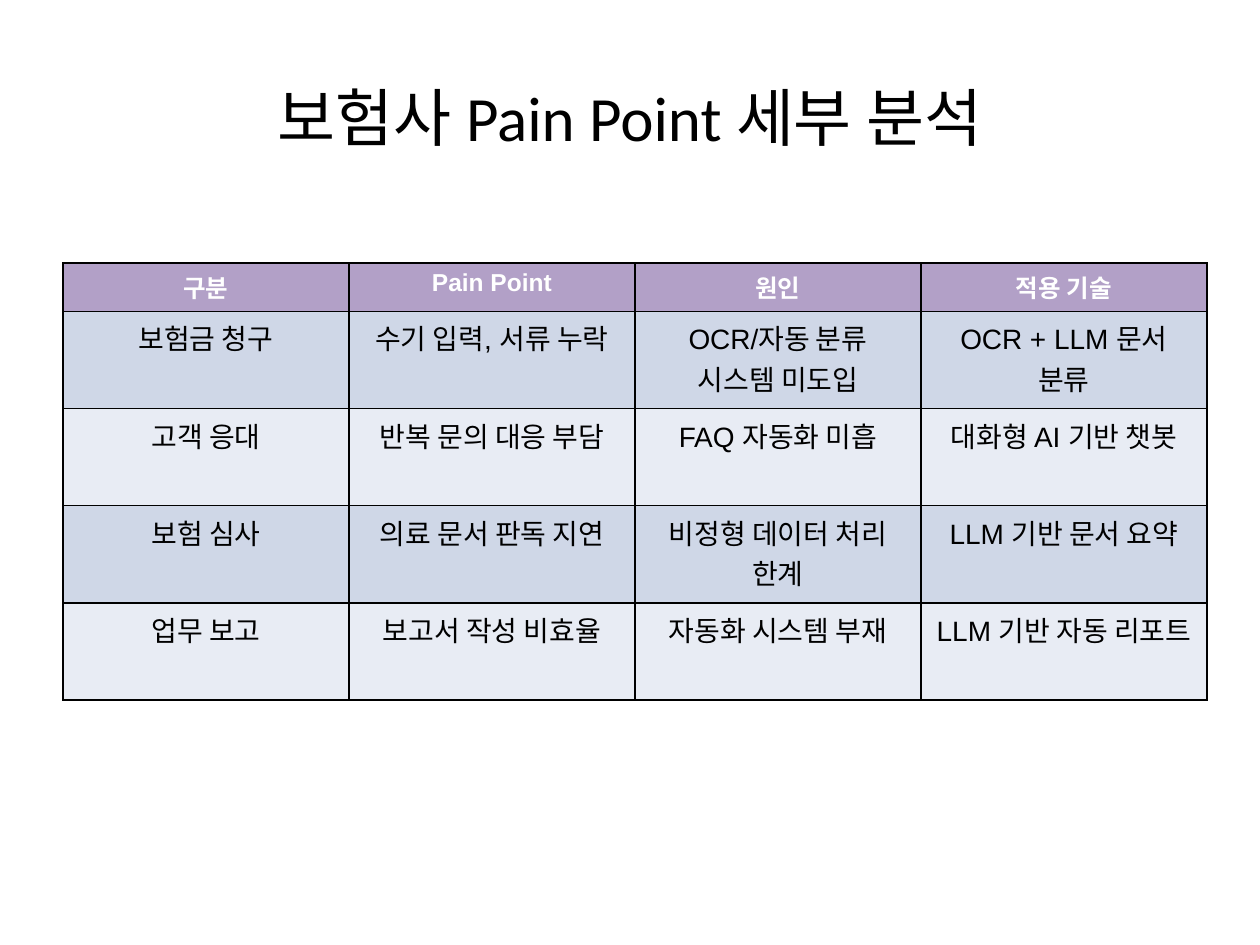
from lxml import etree
from pptx import Presentation
from pptx import util as u
from pptx.dml.color import RGBColor
from pptx.enum import text
from pptx.oxml import ns

BLACK = RGBColor(0x00, 0x00, 0x00)
WHITE = RGBColor(0xFF, 0xFF, 0xFF)
PURPLE = RGBColor(0xB2, 0xA0, 0xC7)
BLUE = RGBColor(0xCF, 0xD7, 0xE7)
PALE = RGBColor(0xE8, 0xEC, 0xF4)

ROWS = [
    ["구분", "Pain Point", "원인", "적용 기술"],
    ["보험금 청구", "수기 입력, 서류 누락", "OCR/자동 분류 시스템 미도입", "OCR + LLM 문서 분류"],
    ["고객 응대", "반복 문의 대응 부담", "FAQ 자동화 미흡", "대화형 AI 기반 챗봇"],
    ["보험 심사", "의료 문서 판독 지연", "비정형 데이터 처리 한계", "LLM 기반 문서 요약"],
    ["업무 보고", "보고서 작성 비효율", "자동화 시스템 부재", "LLM 기반 자동 리포트"],
]


def write(frame, words, size=16, font="Arial", color=BLACK, bold=False):
    para = frame.paragraphs[0]
    para.alignment = text.PP_ALIGN.CENTER
    run = para.add_run()
    run.text = words
    run.font.size = u.Pt(size)
    run.font.name = font
    run.font.bold = bold
    run.font.color.rgb = color


class Deck:
    def __init__(self, wide, high):
        self.prs = Presentation()
        self.prs.slide_width = u.Cm(wide)
        self.prs.slide_height = u.Cm(high)
        self.slide = self.prs.slides.add_slide(self.prs.slide_layouts[5])
        self.head = dict(size=14, color=WHITE, bold=True)
        self.line = u.Pt(1)

    def title(self, words, left, top, wide, high):
        box = self.slide.shapes.title
        box.left, box.top = u.Cm(left), u.Cm(top)
        box.width, box.height = u.Cm(wide), u.Cm(high)
        box.text_frame.vertical_anchor = text.MSO_ANCHOR.MIDDLE
        write(box.text_frame, words, size=36, font="Calibri")

    def border(self, cell):
        props = cell._tc.get_or_add_tcPr()
        for side in ("lnL", "lnR", "lnT", "lnB"):
            line = etree.SubElement(props, ns.qn(f"a:{side}"), w=str(self.line))
            fill = etree.SubElement(line, ns.qn("a:solidFill"))
            etree.SubElement(fill, ns.qn("a:srgbClr"), val=str(BLACK))

    def table(self, rows, left, top, wide, first, rest):
        count = len(rows[0])
        high = first + rest * (len(rows) - 1)
        grid = self.slide.shapes.add_table(
            len(rows), count, u.Cm(left), u.Cm(top), u.Cm(wide), u.Cm(high)
        ).table
        for col in grid.columns:
            col.width = u.Cm(wide / count)
        for r, row in enumerate(rows):
            grid.rows[r].height = u.Cm(rest if r else first)
            shade = (BLUE if r % 2 else PALE) if r else PURPLE
            for c, words in enumerate(row):
                cell = grid.cell(r, c)
                self.border(cell)
                cell.fill.solid()
                cell.fill.fore_color.rgb = shade
                write(cell.text_frame, words, **({} if r else self.head))


def main():
    deck = Deck(25.4, 19.05)
    deck.title("보험사 Pain Point 세부 분석", 1.27, 0.76, 22.86, 3.18)
    deck.table(ROWS, 1.27, 5.3, 23.06, 0.94, 1.96)
    deck.prs.save("out.pptx")


if __name__ == "__main__":
    main()
